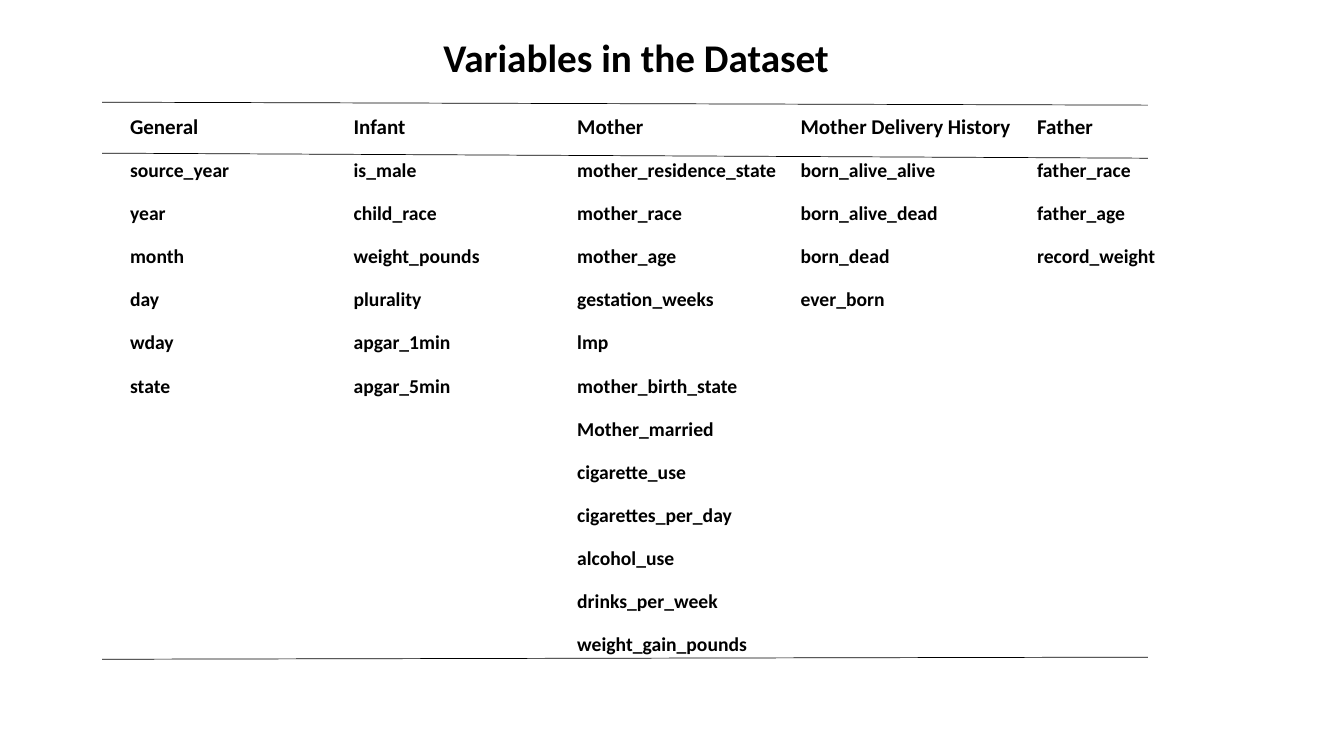
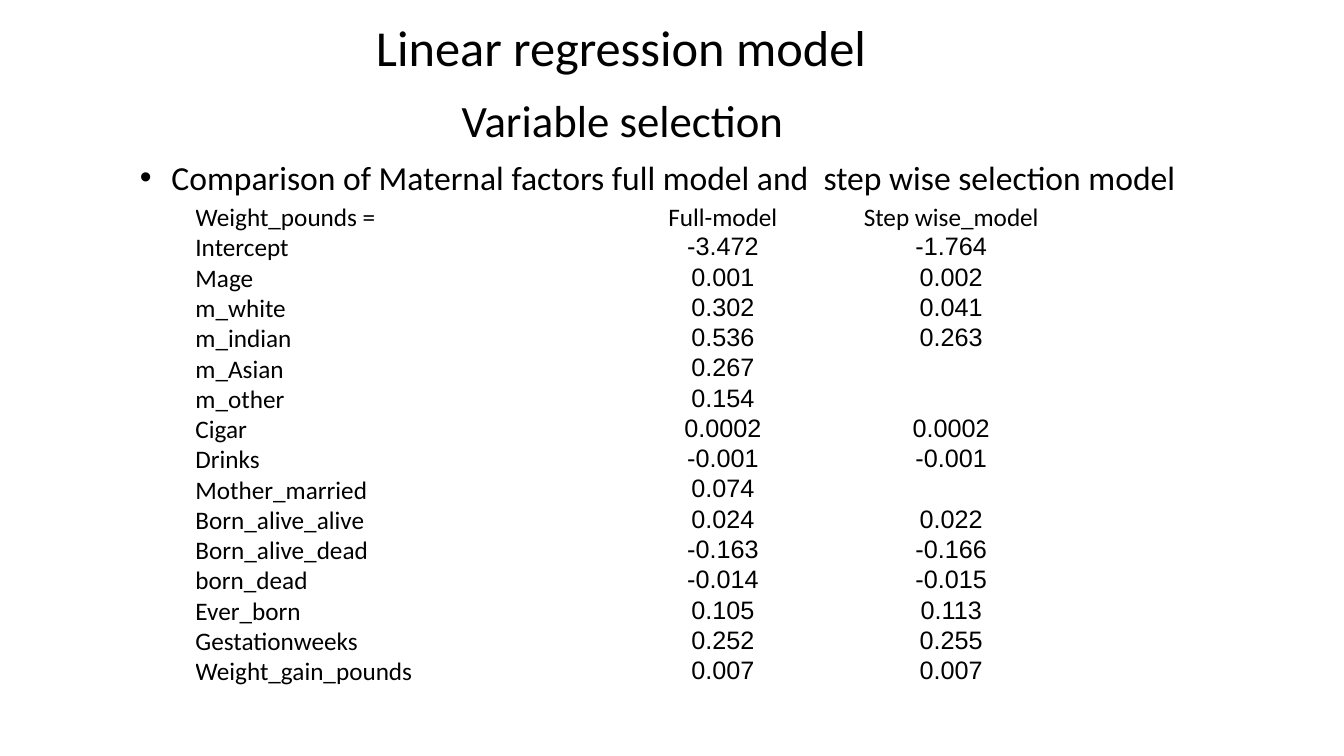
from dataclasses import dataclass

from lxml.etree import SubElement
from pptx import Presentation
from pptx.dml.color import RGBColor
from pptx.enum.shapes import MSO_CONNECTOR
from pptx.enum.text import MSO_ANCHOR, MSO_AUTO_SIZE, PP_ALIGN
from pptx.oxml.ns import qn
from pptx.util import Pt


@dataclass(frozen=True)
class Theme:
    ink: RGBColor = RGBColor(0, 0, 0)
    paper: RGBColor = RGBColor(255, 255, 255)
    font: str = "Calibri"
    number_font: str = "Arial"
    headline: int = 36
    subtitle: int = 32
    title: int = 28
    lead: int = 24
    cell: int = 18
    group: int = 15
    variable: int = 14
    rule: float = 0.5


THEME = Theme()


def write(frame, text, size, font=THEME.font, bold=False, align=PP_ALIGN.LEFT,
          anchor=MSO_ANCHOR.TOP, spacing=None, bullet_indent=None):
    frame.vertical_anchor = anchor
    para = frame.paragraphs[0]
    para.alignment = align
    if spacing:
        para.line_spacing = spacing
    if bullet_indent:
        properties = para._p.get_or_add_pPr()
        properties.set("marL", str(Pt(bullet_indent)))
        properties.set("indent", str(-Pt(bullet_indent)))
        SubElement(properties, qn("a:buFont"), typeface="Arial")
        SubElement(properties, qn("a:buChar"), char="•")
    span = para.add_run()
    span.text = text
    span.font.name = font
    span.font.size = Pt(size)
    span.font.bold = bold
    span.font.color.rgb = THEME.ink


class Slides:
    def __init__(self, width, height):
        self.deck = Presentation()
        self.deck.slide_width = Pt(width)
        self.deck.slide_height = Pt(height)
        self.page = None

    def add_page(self):
        self.page = self.deck.slides.add_slide(self.deck.slide_layouts[6])
        background = self.page.background.fill
        background.solid()
        background.fore_color.rgb = THEME.paper

    def text(self, left, top, width, height, text, size, wrap=True, grow=True, **style):
        box = self.page.shapes.add_textbox(Pt(left), Pt(top), Pt(width), Pt(height))
        frame = box.text_frame
        frame.word_wrap = wrap
        frame.auto_size = MSO_AUTO_SIZE.SHAPE_TO_FIT_TEXT if grow else MSO_AUTO_SIZE.NONE
        write(frame, text, size, **style)

    def rule(self, left, top, right, bottom):
        line = self.page.shapes.add_connector(
            MSO_CONNECTOR.STRAIGHT, Pt(left), Pt(top), Pt(right), Pt(bottom))
        line.line.color.rgb = THEME.ink
        line.line.width = Pt(THEME.rule)
        SubElement(line._element.spPr, qn("a:effectLst"))

    def table(self, left, top, widths, heights, texts, spans, cell_style, inset=0):
        frame = self.page.shapes.add_table(
            len(heights), len(widths), Pt(left), Pt(top), Pt(sum(widths)), Pt(sum(heights)))
        table = frame.table
        table.first_row = False
        table.horz_banding = False
        for column, width in zip(table.columns, widths):
            column.width = Pt(width)
        for row, height in zip(table.rows, heights):
            row.height = Pt(height)
        for cell in table.iter_cells():
            cell.fill.background()
            cell.margin_left = cell.margin_right = cell.margin_top = Pt(inset)
            cell.margin_bottom = 0
        for (row, column), count in spans.items():
            if count > 1:
                table.cell(row, column).merge(table.cell(row, column + count - 1))
        for (row, column), text in texts.items():
            cell = table.cell(row, column)
            style = cell_style(row, column)
            cell.vertical_anchor = style["anchor"]
            write(cell.text_frame, text, **style)

    def save(self):
        self.deck.save("out.pptx")


VARIABLES = {
    0: [("General", 2), ("source_year", 2), ("year", 1), ("month", 1), ("day", 1),
        ("wday", 1), ("state", 1)],
    3: [("Infant", 2), ("is_male", 1), ("child_race", 2), ("weight_pounds", 2),
        ("plurality", 1), ("apgar_1min", 2), ("apgar_5min", 2)],
    6: [("Mother", 2), ("mother_residence_state", 4), ("mother_race", 3),
        ("mother_age", 3), ("gestation_weeks", 3), ("lmp", 1),
        ("mother_birth_state", 3), ("Mother_married", 3), ("cigarette_use", 3),
        ("cigarettes_per_day", 3), ("alcohol_use", 3), ("drinks_per_week", 3),
        ("weight_gain_pounds", 4)],
    10: [("Mother Delivery History", 3), ("born_alive_alive", 2),
         ("born_alive_dead", 2), ("born_dead", 2), ("ever_born", 2)],
    13: [("Father", 2), ("father_race", 2), ("father_age", 2), ("record_weight", 2)],
}
EMPTY_SPANS = {(0, 8): 2, (5, 7): 2, (7, 3): 2}

COEFFICIENTS = [
    ("Weight_pounds =", "Full-model", "Step wise_model"),
    ("Intercept", "-3.472", "-1.764"),
    ("Mage", "0.001", "0.002"),
    ("m_white", "0.302", "0.041"),
    ("m_indian", "0.536", "0.263"),
    ("m_Asian", "0.267", ""),
    ("m_other", "0.154", ""),
    ("Cigar", "0.0002", "0.0002"),
    ("Drinks", "-0.001", "-0.001"),
    ("Mother_married", "0.074", ""),
    ("Born_alive_alive", "0.024", "0.022"),
    ("Born_alive_dead", "-0.163", "-0.166"),
    ("born_dead", "-0.014", "-0.015"),
    ("Ever_born", "0.105", "0.113"),
    ("Gestationweeks", "0.252", "0.255"),
    ("Weight_gain_pounds", "0.007", "0.007"),
]
COEFFICIENT_COLUMNS = (0, 3, 4)


def variable_style(row, column):
    size = THEME.variable if row else THEME.group
    return dict(size=size, bold=True, anchor=MSO_ANCHOR.BOTTOM)


def coefficient_style(row, column):
    if column == 0:
        return dict(size=THEME.cell, anchor=MSO_ANCHOR.MIDDLE)
    if row == 0:
        return dict(size=THEME.cell, align=PP_ALIGN.CENTER, anchor=MSO_ANCHOR.BOTTOM)
    return dict(size=THEME.cell, font=THEME.number_font,
                align=PP_ALIGN.CENTER, anchor=MSO_ANCHOR.TOP)


def add_variables(slides):
    slides.add_page()
    texts, spans = {}, dict(EMPTY_SPANS)
    for column, entries in VARIABLES.items():
        for row, (name, count) in enumerate(entries):
            texts[row, column] = name
            spans[row, column] = count
    widths = [53.25] * 6 + [41.1, 41.1, 47, 30.4, 53.25, 53.25, 62.5, 43.9, 53.25]
    heights = [38.7] + [30.78] * 12
    slides.table(92.2, 61.2, widths, heights, texts, spans, variable_style, inset=0.7)
    for start, end in ((109.4, 113), (73, 75.1), (470.9, 469.4)):
        slides.rule(72.9, start, 820, end)
    slides.text(309.6, 20.2, 345, 41, "Variables in the Dataset", THEME.title, bold=True)


def add_regression(slides):
    slides.add_page()
    slides.text(92.9, 108.4, 761, 36,
                "Comparison of Maternal factors full model and  step wise selection model",
                THEME.lead, wrap=False, bullet_indent=22.5)
    texts = {(row, column): text
             for row, entries in enumerate(COEFFICIENTS)
             for column, text in zip(COEFFICIENT_COLUMNS, entries) if text}
    spans = {(row, 0): 2 for row in range(1, 6)}
    slides.table(139.6, 144.7, [279.6, 2.9, 2.5, 182.9, 143.3],
                 [21.58] * len(COEFFICIENTS), texts, spans, coefficient_style)
    slides.text(322.6, 57.2, 245, 61.2, "Variable selection", THEME.subtitle,
                grow=False, anchor=MSO_ANCHOR.MIDDLE, spacing=0.9)
    slides.text(261.4, 7.9, 367, 51, "Linear regression model", THEME.headline)


def main():
    slides = Slides(960, 540)
    add_variables(slides)
    add_regression(slides)
    slides.save()


if __name__ == "__main__":
    main()
